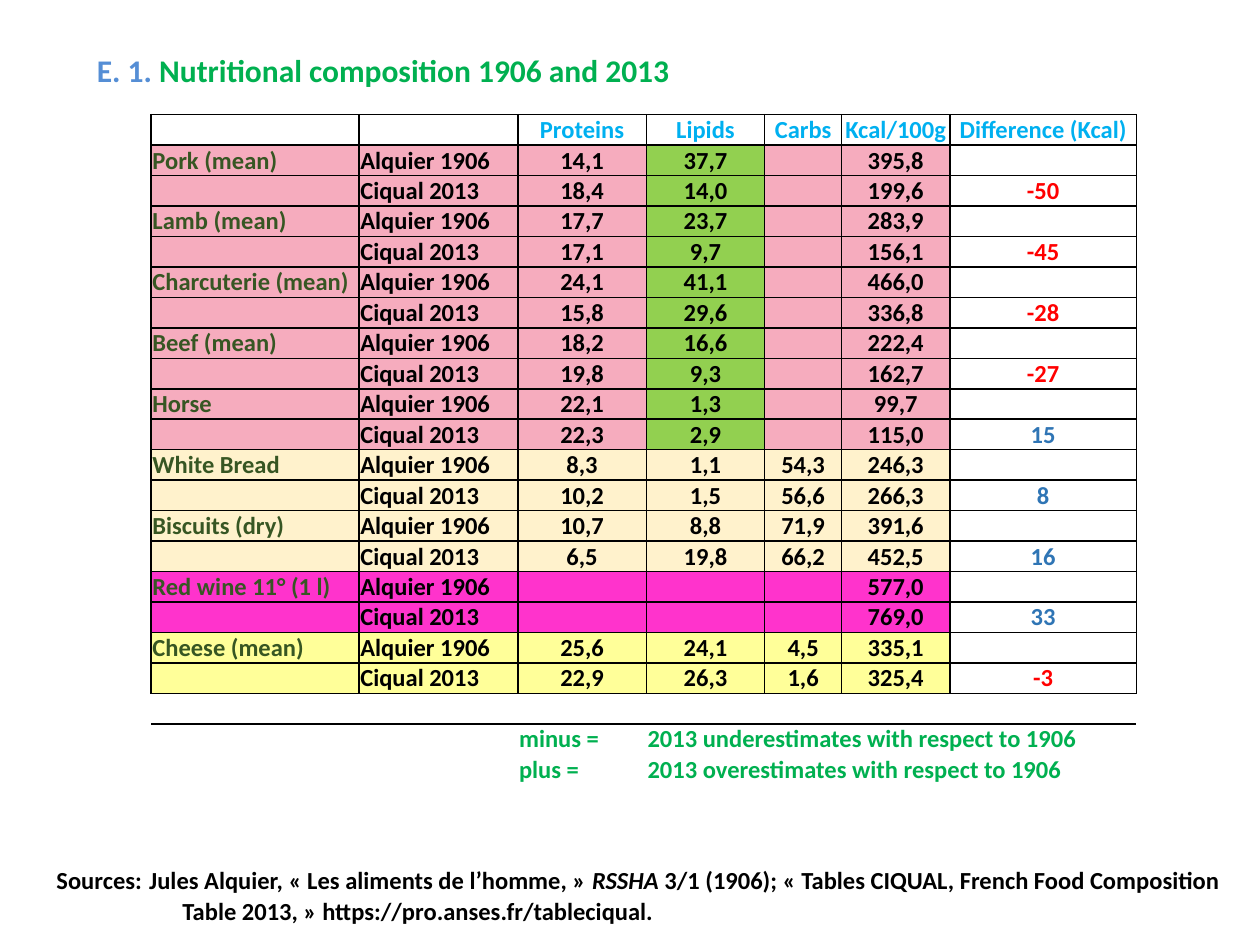
from pptx import Presentation
from pptx.dml.color import RGBColor
from pptx.enum.text import MSO_ANCHOR, PP_ALIGN
from pptx.oxml import parse_xml
from pptx.oxml.ns import nsdecls
from pptx.util import Inches, Pt

THEME = {
    "font": "Calibri", "title_size": 18, "body_size": 14,
    "black": "000000", "title": "558ED5", "green": "00B050", "head": "00B0F0",
    "food": "375623", "minus": "FF0000", "plus": "2F75B5", "fat": "92D050",
    "meat": "F6ACBE", "cereal": "FFF2CC", "wine": "FF33CC", "cheese": "FFFF99",
}
NO_GRID_STYLE = "{2D5ABB26-0587-4C30-8999-92F81FD0307C}"

HEADINGS = ["", "", "Proteins", "Lipids", "Carbs", "Kcal/100g", "Difference (Kcal)"]
STUDIES = ["Alquier 1906", "Ciqual 2013"]
# food, group, values per study (proteins, lipids, carbs, kcal), difference
FOODS = [
    ("Pork (mean)", "meat", ["14,1", "37,7", "", "395,8"], ["18,4", "14,0", "", "199,6"], "-50"),
    ("Lamb (mean)", "meat", ["17,7", "23,7", "", "283,9"], ["17,1", "9,7", "", "156,1"], "-45"),
    ("Charcuterie (mean)", "meat", ["24,1", "41,1", "", "466,0"], ["15,8", "29,6", "", "336,8"], "-28"),
    ("Beef (mean)", "meat", ["18,2", "16,6", "", "222,4"], ["19,8", "9,3", "", "162,7"], "-27"),
    ("Horse", "meat", ["22,1", "1,3", "", "99,7"], ["22,3", "2,9", "", "115,0"], "15"),
    ("White Bread", "cereal", ["8,3", "1,1", "54,3", "246,3"], ["10,2", "1,5", "56,6", "266,3"], "8"),
    ("Biscuits (dry)", "cereal", ["10,7", "8,8", "71,9", "391,6"], ["6,5", "19,8", "66,2", "452,5"], "16"),
    ("Red wine 11° (1 l)", "wine", ["", "", "", "577,0"], ["", "", "", "769,0"], "33"),
    ("Cheese (mean)", "cheese", ["25,6", "24,1", "4,5", "335,1"], ["22,9", "26,3", "1,6", "325,4"], "-3"),
]
LEGEND = [
    ("minus =", "2013 underestimates with respect to 1906"),
    ("plus =", "2013 overestimates with respect to 1906"),
]
TITLE = [("E. 1. ", {"color": "title"}),
         ("Nutritional composition 1906 and 2013", {"color": "green"})]
SOURCES = [
    [("Sources:", {}), (" ", {"size": THEME["title_size"], "bold": False}),
     ("Jules Alquier, «\u00a0Les aliments de l’homme,\u00a0» ", {}),
     ("RSSHA", {"italic": True}),
     (" 3/1 (1906); «\u00a0Tables CIQUAL, French Food Composition ", {})],
    [("Table 2013,\u00a0» https://pro.anses.fr/tableciqual.", {})],
]
COL_WIDTHS = [1.65, 1.26, 1.02, 0.94, 0.61, 0.86, 1.48]
LIPIDS, DIFFERENCE = 3, 6
TABLE_LEFT, TABLE_TOP, TABLE_HEIGHT = Inches(1.2), Inches(0.91), Inches(5.32)


def add_run(p, text, size=THEME["body_size"], color="black", bold=True, italic=False):
    """Append one formatted run to a paragraph."""
    r = p.add_run()
    r.text = text
    formats = {"name": THEME["font"], "size": Pt(size), "bold": bold, "italic": italic}
    for name, value in formats.items():
        setattr(r.font, name, value)
    r.font.color.rgb = RGBColor.from_string(THEME[color])


def add_text(s, box, paragraphs, wrap=True):
    """Add a text box whose paragraphs are lists of (text, format) runs."""
    tf = s.shapes.add_textbox(*map(Inches, box)).text_frame
    tf.word_wrap = wrap
    for i, runs in enumerate(paragraphs):
        p = tf.add_paragraph() if i else tf.paragraphs[0]
        for text, formats in runs:
            add_run(p, text, **formats)
    return tf


def set_borders(cell, sides):
    """Draw one-point black lines on the given sides of a cell."""
    pr = cell._tc.get_or_add_tcPr()
    for i, side in enumerate(sides):
        pr.insert(i, parse_xml(
            f'<a:ln{side} {nsdecls("a")} w="{Pt(1)}"><a:solidFill>'
            f'<a:srgbClr val="{THEME["black"]}"/></a:solidFill></a:ln{side}>'))


def fill_cell(cell, text="", color="black", fill=None, centred=False, sides=""):
    """Set the text, fill and borders of one table cell."""
    formats = {"margin_left": Inches(0.01), "margin_right": Inches(0.01),
               "margin_top": Pt(0.3), "margin_bottom": 0,
               "vertical_anchor": MSO_ANCHOR.BOTTOM}
    for name, value in formats.items():
        setattr(cell, name, value)
    if fill:
        cell.fill.solid()
        cell.fill.fore_color.rgb = RGBColor.from_string(THEME[fill])
    else:
        cell.fill.background()
    p = cell.text_frame.paragraphs[0]
    p.alignment = PP_ALIGN.CENTER if centred else PP_ALIGN.LEFT
    if text:
        add_run(p, text, color=color)
    else:
        p._p.get_or_add_endParaRPr().set("sz", str(THEME["body_size"] * 100))
    set_borders(cell, sides)


def food_cell(col, text, group):
    """Return the colour and fill rules for a cell of a food row."""
    if col == DIFFERENCE:
        return {"color": "minus" if text.startswith("-") else "plus"}
    fat = col == LIPIDS and group == "meat"
    return {"color": "black" if col else "food", "fill": "fat" if fat else group}


def add_food_table(s):
    """Add the table of foods with its legend rows below."""
    rows = [(HEADINGS, None)]
    for food, group, old, new, difference in FOODS:
        rows.append(([food, STUDIES[0], *old, ""], group))
        rows.append((["", STUDIES[1], *new, difference], group))
    total = len(rows) + 1 + len(LEGEND)
    table = s.shapes.add_table(total, len(COL_WIDTHS), TABLE_LEFT, TABLE_TOP,
                               Inches(sum(COL_WIDTHS)), TABLE_HEIGHT).table
    table.first_row = table.horz_banding = False
    table._tbl.tblPr[0].text = NO_GRID_STYLE
    for column, width in zip(table.columns, COL_WIDTHS):
        column.width = Inches(width)
    for row in table.rows:
        row.height = TABLE_HEIGHT // total

    for i, (texts, group) in enumerate(rows):
        for j, text in enumerate(texts):
            look = food_cell(j, text, group) if group else {"color": "head"}
            fill_cell(table.cell(i, j), text, centred=j > 1, sides="LRTB", **look)
    for j in range(len(COL_WIDTHS)):
        fill_cell(table.cell(len(rows), j), sides="T")
    for i, (sign, meaning) in enumerate(LEGEND, len(rows) + 1):
        table.cell(i, LIPIDS).merge(table.cell(i, DIFFERENCE))
        for j, text in enumerate(["", "", sign, meaning]):
            fill_cell(table.cell(i, j), text, color="green")


prs = Presentation()
prs.slide_width, prs.slide_height = Inches(10), Inches(7.5)
s = prs.slides.add_slide(prs.slide_layouts[6])
title = [(text, {"size": THEME["title_size"], **formats}) for text, formats in TITLE]
add_text(s, (0.67, 0.36, 4.8, 0.4), [title], wrap=False)
tf = add_text(s, (0.35, 6.76, 9.54, 0.64), SOURCES)
tf.paragraphs[1]._p.get_or_add_pPr().set("marL", str(Inches(1)))
add_food_table(s)
prs.save("out.pptx")
